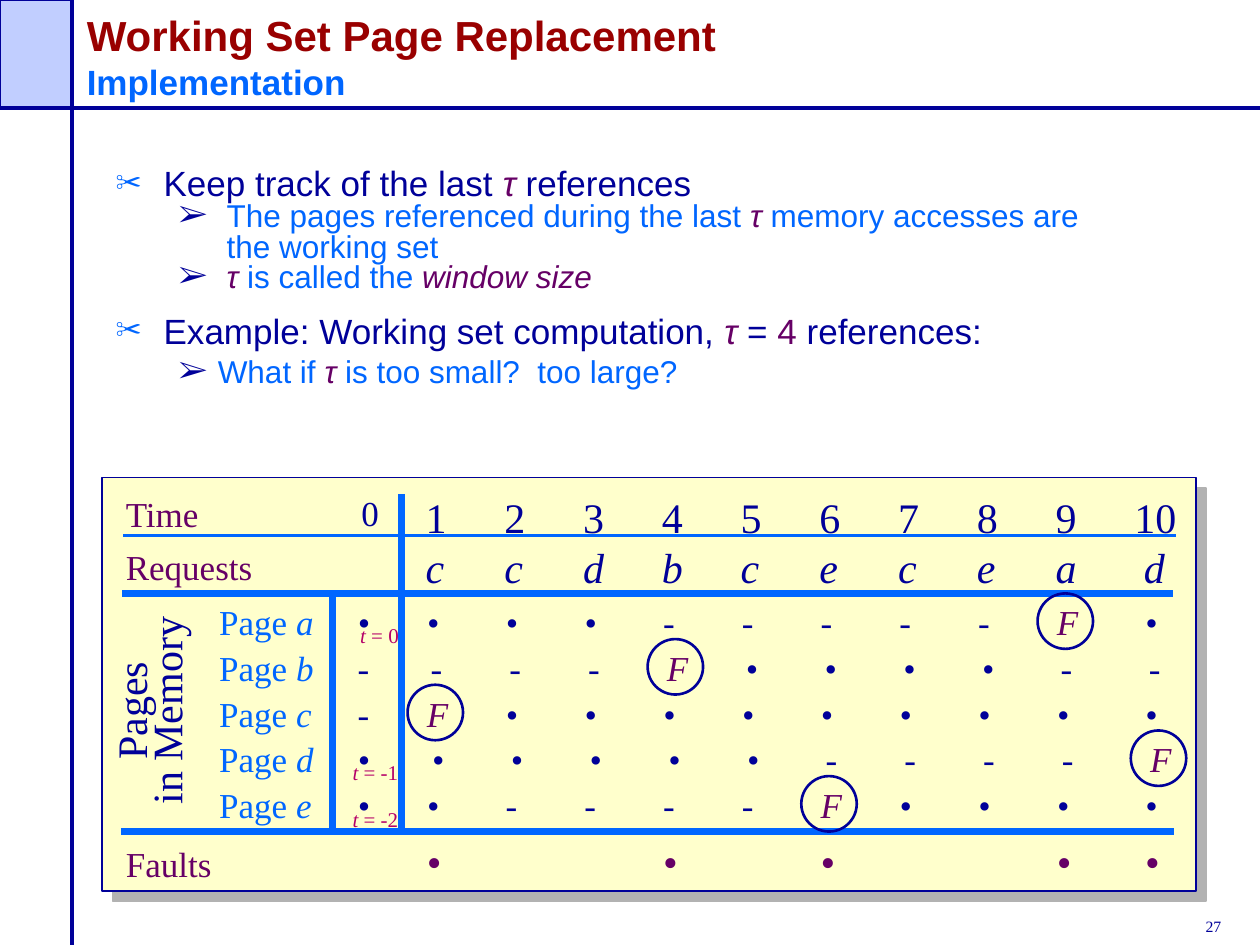
from dataclasses import dataclass

from lxml.etree import SubElement
from pptx import Presentation
from pptx.dml.color import RGBColor
from pptx.enum.shapes import MSO_CONNECTOR, MSO_SHAPE
from pptx.enum.text import MSO_ANCHOR, MSO_AUTO_SIZE, PP_ALIGN
from pptx.oxml.ns import qn
from pptx.util import Inches, Pt


@dataclass(frozen=True)
class Theme:
    navy: str = "000099"
    blue: str = "0066FF"
    plum: str = "660066"
    pink: str = "B50069"
    red: str = "990000"
    corner: str = "C1CEFF"
    panel: str = "FFFFCC"
    shadow: str = "B2B2B2"
    sans: str = "Arial"
    serif: str = "Times New Roman"
    large: int = 24
    normal: int = 20
    detail: int = 18
    note: int = 12
    tiny: int = 9


THEME = Theme()
NAVY, BLUE, PLUM = THEME.navy, THEME.blue, THEME.plum
TAU = ("τ", PLUM, True)

# Each outline item: level, left margin, space before, spans of (text, colour, italic)
OUTLINE = [
    (0, 0.38, 0, [("Keep track of the last ", NAVY, False), TAU,
                  (" references", NAVY, False)]),
    (1, 0.88, 0, [("The pages referenced during the last ", BLUE, False), TAU,
                  (" memory accesses are\nthe working set", BLUE, False)]),
    (1, 0.88, 0, [TAU, (" is called the ", BLUE, False), ("window size", PLUM, True)]),
    (0, 0.38, 13.3, [("Example: Working set computation, ", NAVY, False), TAU,
                     (" = ", NAVY, False), ("4", PLUM, False), (" references:", NAVY, False)]),
    (1, 0.81, 4.5, [("What if ", BLUE, False), TAU,
                    (" is too small?  too large?", BLUE, False)]),
]
# Each level: bullet, its colour, its size in percent, its left edge, type size
LEVELS = [("✂", BLUE, 75, 0, THEME.normal), ("➢", NAVY, 100, 0.5, THEME.detail)]

TIMES = [str(time) for time in range(1, 11)]
REQUESTS = "ccdbcecead"
# Each page: name, state at time 0, state at times 1 to 10, shift to the right
MEMORY = [
    ("a", "•", "•••-----F•", 0),
    ("b", "-", "---F••••--", 0.03),
    ("c", "-", "F•••••••••", 0),
    ("d", "•", "•••••----F", 0.04),
    ("e", "•", "•----F••••", 0),
]
FAULT_MARKS = ["•" if any(row[2][i] == "F" for row in MEMORY) else "" for i in range(10)]
LABELS = [("Time", 3.86, 0.79), ("Requests", 4.28, 1.3), ("Faults", 6.64, 0.88)]
LAST_USES = [(" = 0", 2.76, 4.89, 0.51), (" = -1", 2.7, 5.98, 0.56), (" = -2", 2.7, 6.35, 0.56)]

GRID_LEFT, COLUMN = 3.29, 0.625
HEAD_LEFT, GRID_WIDTH = 3.28, 6.3
GRID_TOP, ROW = 4.72, 0.3625
LAST_SHIFT = 0.075
INSET, CIRCLE = 0.1, 0.44
# Each rule: from x, from y, to x, to y, colour, width
RULES = [
    (0, 0.86, 10, 0.86, NAVY, 2.25), (0.57, 0, 0.57, 7.5, NAVY, 2.25),
    (0.97, 4.71, 9.31, 4.71, BLUE, 4), (0.96, 6.6, 9.32, 6.6, BLUE, 4),
    (3.19, 3.92, 3.19, 6.58, BLUE, 4), (2.64, 4.74, 2.64, 6.58, BLUE, 4),
    (0.98, 4.25, 9.33, 4.25, BLUE, 1.25),
]


def colour(value):
    return RGBColor.from_string(value)


def add_spans(para, spans, size, font, bold=False):
    for text, tint, italic in spans:
        for number, line in enumerate(text.split("\n")):
            if number:
                para.add_line_break()
            if line:
                span = para.add_run()
                span.text = line
                span.font.size, span.font.name = Pt(size), font
                span.font.bold, span.font.italic = bold, italic
                span.font.color.rgb = colour(tint)


def add_box(page, left, top, width, height, wrap=False):
    box = page.shapes.add_textbox(Inches(left), Inches(top), Inches(width), Inches(height))
    box.text_frame.word_wrap = wrap
    box.text_frame.auto_size = MSO_AUTO_SIZE.NONE if wrap else MSO_AUTO_SIZE.SHAPE_TO_FIT_TEXT
    return box


def add_label(page, left, top, width, spans, size=THEME.normal, height=0.43):
    box = add_box(page, left, top, width, height)
    para = box.text_frame.paragraphs[0]
    add_spans(para, spans, size, THEME.serif)
    return para


def add_grid_row(page, left, top, cells, size=THEME.normal, tint=NAVY, italic=True,
                 last_shift=LAST_SHIFT):
    """One line of ten cells on evenly spaced tab stops, faults in plum."""
    before, fault, after = "\t".join(cells).partition("F")
    spans = [(before, tint, italic), (fault, PLUM, italic), (after, tint, italic)]
    height = 0.5 if size == THEME.large else 0.43
    para = add_label(page, left, top, GRID_WIDTH, spans, size, height)
    stops = SubElement(para._p.get_or_add_pPr(), qn("a:tabLst"))
    for column in range(1, 10):
        place = column * COLUMN + (last_shift if column == 9 else 0)
        SubElement(stops, qn("a:tab"), pos=str(Inches(place)), algn="l")


def add_bullet(para, level, margin):
    mark, tint, percent, edge, _ = LEVELS[level]
    properties = para._p.get_or_add_pPr()
    properties.set("marL", str(Inches(margin)))
    properties.set("indent", str(Inches(edge) - Inches(margin)))
    SubElement(SubElement(properties, qn("a:buClr")), qn("a:srgbClr"), val=tint)
    SubElement(properties, qn("a:buSzPct"), val=str(percent * 1000))
    SubElement(properties, qn("a:buFont"), typeface=THEME.serif)
    SubElement(properties, qn("a:buChar"), char=mark)


def add_preset(page, kind, left, top, width, height, fill=None, line_width=1):
    shape = page.shapes.add_shape(kind, Inches(left), Inches(top), Inches(width), Inches(height))
    shape.shadow.inherit = False
    if fill:
        shape.fill.solid()
        shape.fill.fore_color.rgb = colour(fill)
    else:
        shape.fill.background()
    shape.line.color.rgb = colour(NAVY)
    shape.line.width = Pt(line_width)
    return shape


def add_rule(page, x1, y1, x2, y2, tint, width):
    rule = page.shapes.add_connector(MSO_CONNECTOR.STRAIGHT, Inches(x1), Inches(y1),
                                     Inches(x2), Inches(y2))
    rule.line.color.rgb = colour(tint)
    rule.line.width = Pt(width)
    SubElement(rule._element.spPr, qn("a:effectLst"))


def add_heading_and_outline(page):
    title = add_box(page, 0.59, 0, 7.72, 0.86, wrap=True)
    title.text_frame.vertical_anchor = MSO_ANCHOR.BOTTOM
    para = title.text_frame.paragraphs[0]
    add_spans(para, [("Working Set Page Replacement\n", THEME.red, False)],
              THEME.large, THEME.sans, bold=True)
    add_spans(para, [("Implementation", BLUE, False)], THEME.normal, THEME.sans, bold=True)

    frame = add_box(page, 0.82, 1.3, 8.61, 1.96, wrap=True).text_frame
    for number, (level, margin, gap, spans) in enumerate(OUTLINE):
        para = frame.add_paragraph() if number else frame.paragraphs[0]
        add_bullet(para, level, margin)
        para.line_spacing, para.space_before = 0.8, Pt(gap)
        add_spans(para, spans, LEVELS[level][-1], THEME.sans)


def add_memory_chart(page):
    add_grid_row(page, HEAD_LEFT, 3.85, TIMES, THEME.large, italic=False, last_shift=0)
    add_grid_row(page, HEAD_LEFT, 4.25, REQUESTS, THEME.large)
    add_grid_row(page, GRID_LEFT, 6.58, FAULT_MARKS, THEME.large, PLUM, italic=False)
    add_label(page, 2.77, 3.85, 0.34, [("0", NAVY, False)])
    for text, top, width in LABELS:
        add_label(page, 0.9, top, width, [(text, PLUM, False)])

    for number, (name, start, states, shift) in enumerate(MEMORY):
        top, left = GRID_TOP + number * ROW, GRID_LEFT + shift
        add_label(page, 1.64, top, 0.95, [("Page ", BLUE, False), (name, BLUE, True)])
        add_label(page, 2.74, top, 0.3, [(start, NAVY, True)])
        add_grid_row(page, left, top, states)
        column = states.index("F")
        centre = left + INSET + column * COLUMN + (LAST_SHIFT if column == 9 else 0) + 0.065
        add_preset(page, MSO_SHAPE.OVAL, centre - CIRCLE / 2, top - 0.01, CIRCLE, CIRCLE,
                   line_width=1.5)

    for text, left, top, width in LAST_USES:
        add_label(page, left, top, width, [("t", THEME.pink, True), (text, THEME.pink, False)],
                  THEME.note, 0.3)

    side = add_box(page, 0.38, 5.31, 1.69, 0.66)
    side.rotation = 270
    side.text_frame.text = "Pages\nin Memory"
    for para in side.text_frame.paragraphs:
        para.alignment, para.line_spacing = PP_ALIGN.CENTER, 0.7
        font = para.runs[0].font
        font.size, font.name, font.color.rgb = Pt(THEME.large), THEME.serif, colour(NAVY)


def main():
    deck = Presentation()
    deck.slide_width, deck.slide_height = Inches(10), Inches(7.5)
    page = deck.slides.add_slide(deck.slide_layouts[6])
    add_preset(page, MSO_SHAPE.RECTANGLE, 0, 0, 0.57, 0.87, THEME.corner)
    panel = add_preset(page, MSO_SHAPE.RECTANGLE, 0.81, 3.79, 8.68, 3.28, THEME.panel)
    effects = panel._element.spPr.find(qn("a:effectLst"))
    shadow = SubElement(effects, qn("a:outerShdw"), dist=str(Pt(8.5)), dir=str(45 * 60000),
                        algn="ctr", rotWithShape="0")
    SubElement(shadow, qn("a:srgbClr"), val=THEME.shadow)
    for rule in RULES:
        add_rule(page, *rule)
    add_heading_and_outline(page)
    add_memory_chart(page)
    add_label(page, 9.47, 7.23, 0.72, [("27", NAVY, False)], THEME.tiny, 0.25)
    deck.save("out.pptx")


if __name__ == "__main__":
    main()
